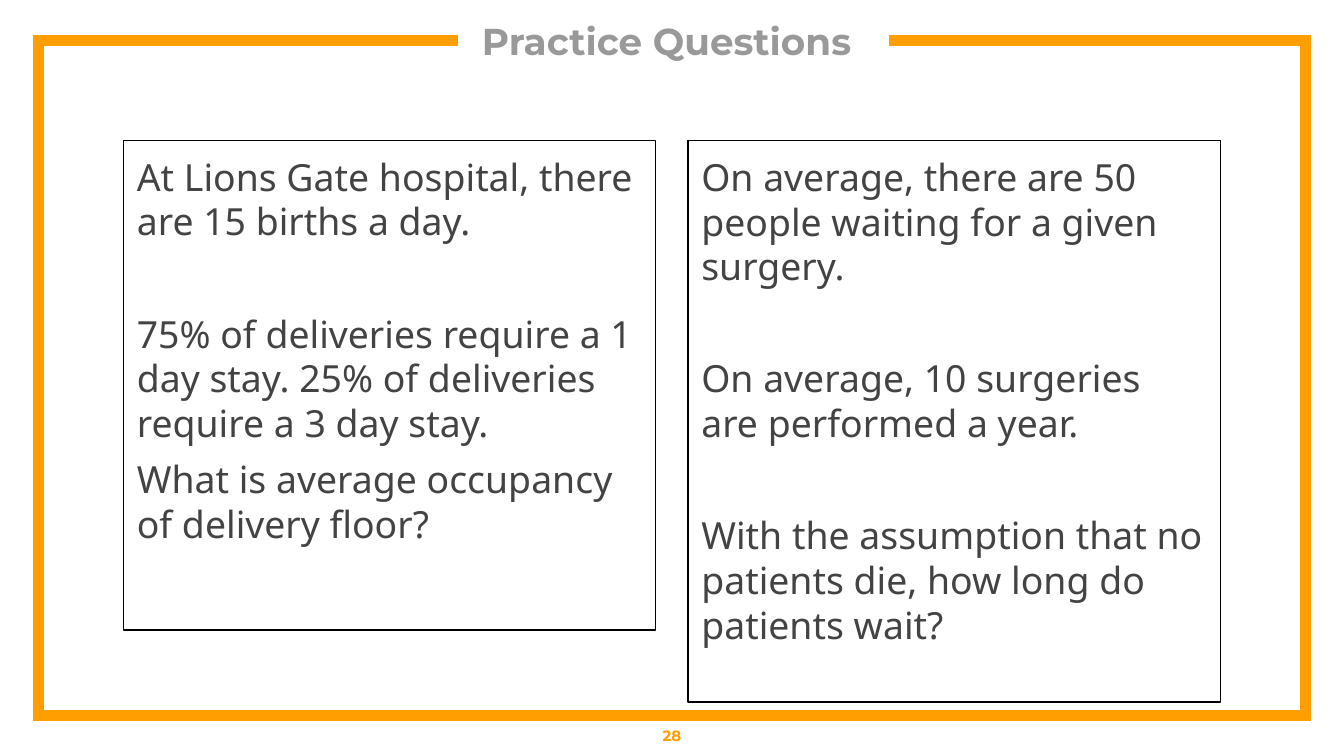
from pptx import Presentation
from pptx.dml.color import RGBColor
from pptx.enum.shapes import MSO_SHAPE
from pptx.enum.text import MSO_ANCHOR as Anchor, PP_ALIGN as Align
from pptx.oxml.ns import qn
from pptx.util import Pt
from lxml import etree

PX = 4572
ORANGE = RGBColor(0xFF, 0x9E, 0x00)
GREY = RGBColor(0x99, 0x99, 0x99)
DARK = RGBColor(0x43, 0x43, 0x43)
BLACK = RGBColor(0x00, 0x00, 0x00)

presentation = Presentation()
presentation.slide_width = 2000 * PX
presentation.slide_height = 1125 * PX
slide = presentation.slides.add_slide(presentation.slide_layouts[6])


def set_insets(text_frame, inset):
    text_frame.word_wrap = True
    text_frame.margin_left = text_frame.margin_right = inset * PX
    text_frame.margin_top = text_frame.margin_bottom = inset * PX


def style_font(font, name, size, color, bold=False):
    font.name = name
    font.size = Pt(size)
    font.color.rgb = color
    font.bold = bold


builder = slide.shapes.build_freeform(681, 60, scale=PX)
builder.add_line_segments(
    [(57, 60), (57, 1065), (1943, 1065), (1943, 60), (1323, 60)], close=False
)
frame = builder.convert_to_shape()
frame.shadow.inherit = False
frame.fill.background()
frame.line.color.rgb = ORANGE
frame.line.width = Pt(6)
etree.SubElement(frame.line._get_or_add_ln(), qn("a:miter"), lim="800000")

labels = [
    ("Practice Questions ", (709, 22, 582, 78), 0, 20, GREY),
    ("28", (0, 1065, 2000, 60), 20, 8, ORANGE),
]
for text, (left, top, width, height), inset, size, color in labels:
    label = slide.shapes.add_textbox(left * PX, top * PX, width * PX, height * PX)
    text_frame = label.text_frame
    set_insets(text_frame, inset)
    text_frame.vertical_anchor = Anchor.MIDDLE
    text_frame.text = text
    paragraph = text_frame.paragraphs[0]
    paragraph.alignment = Align.CENTER
    style_font(paragraph.runs[0].font, "Montserrat", size, color, True)

questions = [
    (184, 729, [
        ("At Lions Gate hospital, there are 15 births a day.", 0),
        ("75% of deliveries require a 1 day stay. "
         "25% of deliveries require a 3 day stay.", 36),
        ("What is average occupancy of delivery floor?", 6),
    ]),
    (1024, 836, [
        ("On average, there are 50 people waiting for a given surgery.", 0),
        ("On average, 10 surgeries are performed a year.", 36),
        ("With the assumption that no patients die, "
         "how long do patients wait?", 36),
    ]),
]
for left, height, statements in questions:
    box = slide.shapes.add_shape(
        MSO_SHAPE.RECTANGLE, left * PX, 209 * PX, 792 * PX, height * PX
    )
    box.shadow.inherit = False
    box.fill.background()
    box.line.color.rgb = BLACK
    box.line.width = Pt(0.75)
    text_frame = box.text_frame
    set_insets(text_frame, 20)
    text_frame.vertical_anchor = Anchor.TOP
    text_frame.text = "\n".join(text for text, gap in statements)
    for paragraph, (text, gap) in zip(text_frame.paragraphs, statements):
        paragraph.alignment = Align.LEFT
        paragraph.space_before = Pt(gap)
        style_font(paragraph.runs[0].font, "Noto Sans", 20, DARK)

presentation.save("out.pptx")
